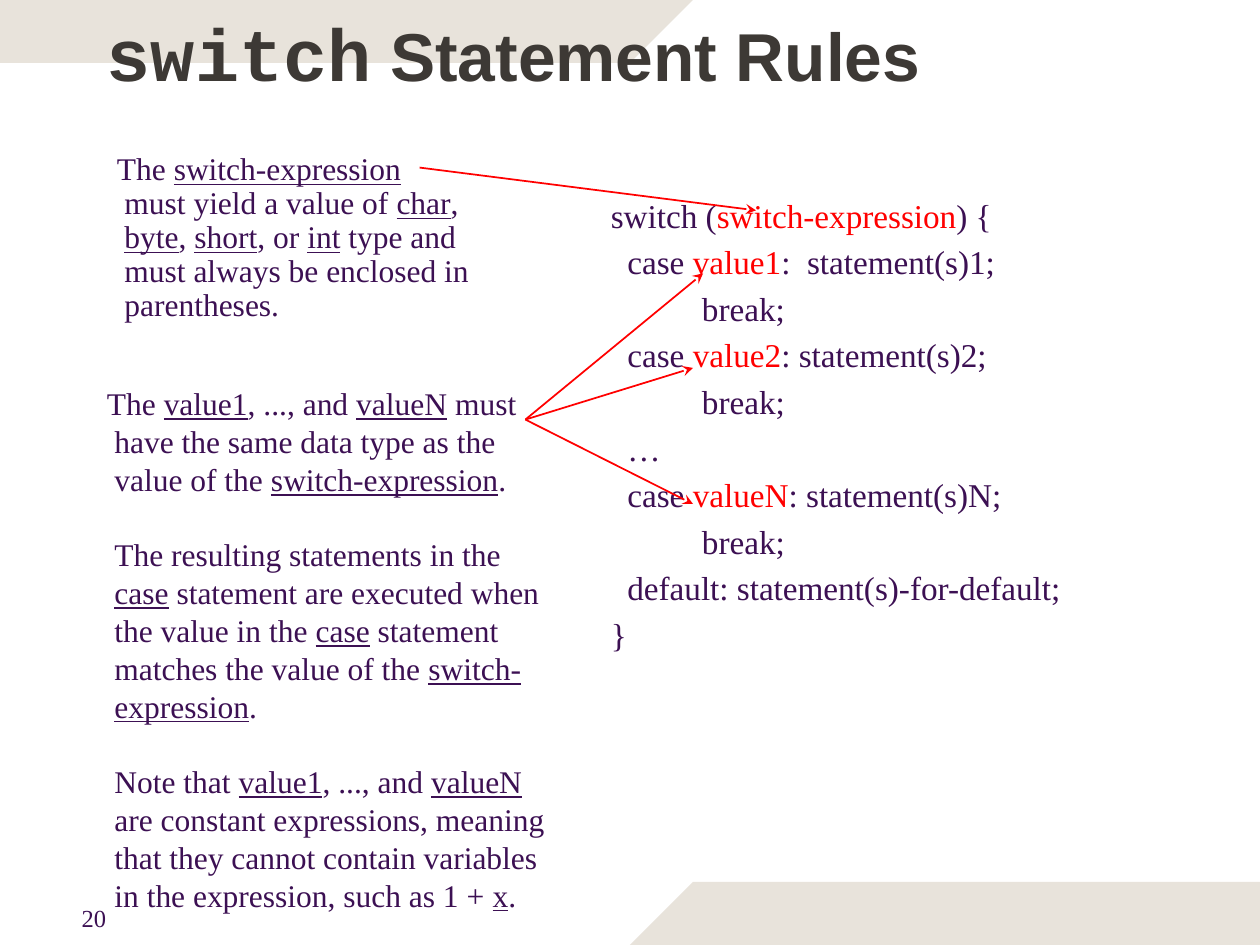
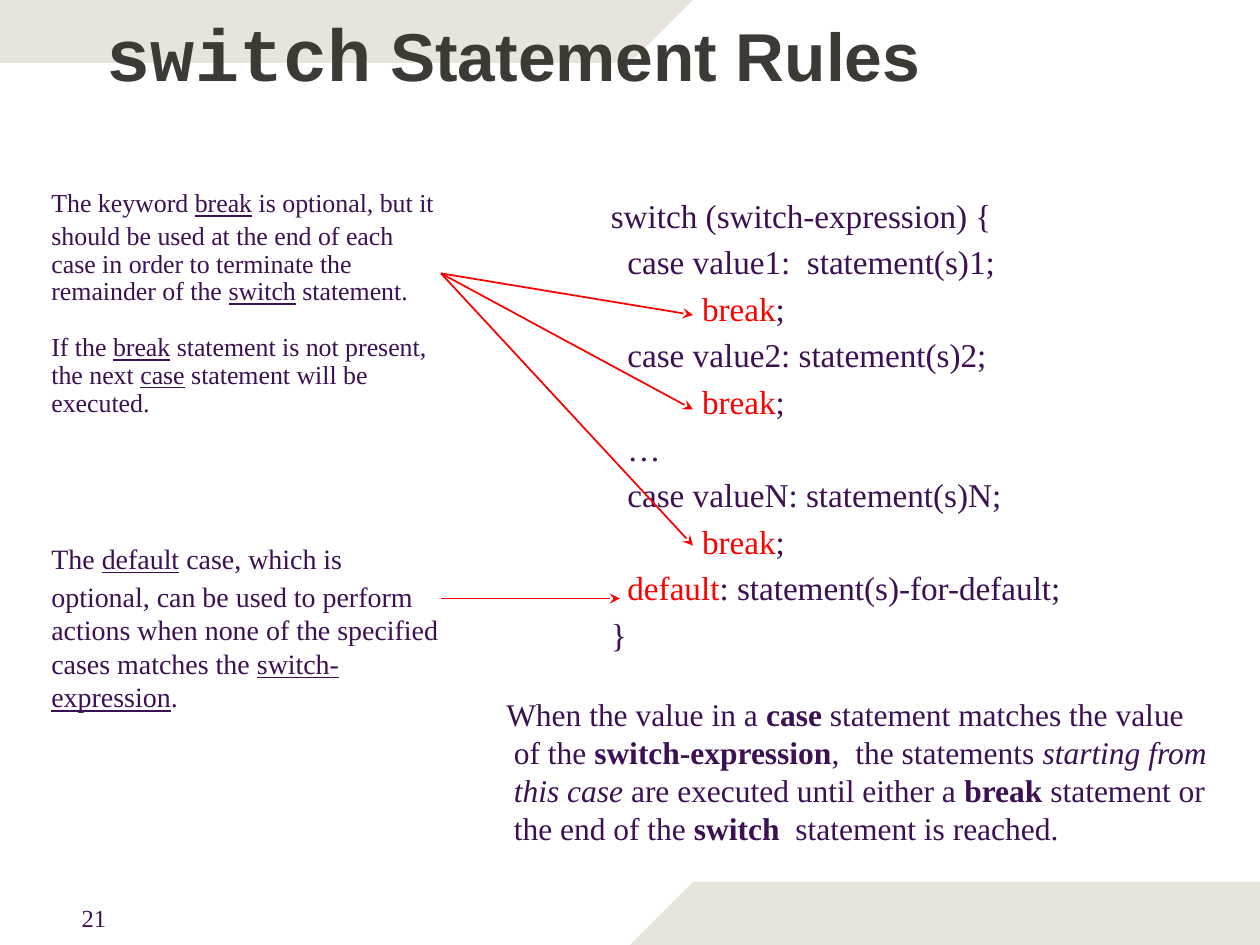
"""Build two slides on the rules of the switch statement."""
from pptx import Presentation, util as u
from pptx.dml.color import RGBColor
from pptx.enum import shapes, text
from pptx.oxml import parse_xml
from pptx.oxml.ns import nsdecls, qn

PURPLE = RGBColor(0x3C, 0x10, 0x53)
CHARCOAL = RGBColor(0x3D, 0x39, 0x35)
SAND = RGBColor(0xE8, 0xE3, 0xDB)
RED = RGBColor(0xFF, 0x00, 0x00)
SERIF, SANS, MONO = "Times New Roman", "Arial", "Courier New"

WIDTH, HEIGHT = 10, 7.5
BAND = [(0, 0), (5.5, 0), (5, 0.5), (0, 0.5)]
TITLE_AREA = (0.75, 0, 8.5, 0.83)
NUMBER_AREA = (0.55, 7.12, 0.49, 0.27)
CODE_AREA = (4.75, 1.5, 4, 4.17)
CODE_SIZE = 19
HANGING = 0.06

TITLE = [("switch", MONO, 42), (" Statement Rules", SANS, 38.7)]
CODE = [
    "switch (switch-expression) {",
    "  case value1:  statement(s)1;",
    "           break;",
    "  case value2: statement(s)2;",
    "           break;",
    "  …",
    "  case valueN: statement(s)N;",
    "           break;",
    "  default: statement(s)-for-default;",
    "}",
]

MARKS = {"_": "underline", "*": "bold", "~": "italic", "^": "red"}

SLIDES = [
    {
        "number": 20,
        "red": ["switch-expression", "value1", "value2", "valueN"],
        "notes": [
            {"area": (0.83, 1.17, 3, 1.42), "size": 18, "line_spacing": 0.9, "paras": [
                "The _switch-expression_ must yield a value of _char_, _byte_, _short_, "
                "or _int_ type and must always be enclosed in parentheses."]},
            {"area": (0.75, 3, 3.75, 3.75), "size": 18, "gap": 21.6, "paras": [
                "The _value1_, ..., and _valueN_ must have the same data type as the value "
                "of the _switch-expression_.",
                "The resulting statements in the _case_ statement are executed when the "
                "value in the _case_ statement matches the value of the _switch-expression_.",
                "Note that _value1_, ..., and _valueN_ are constant expressions, meaning "
                "that they cannot contain variables in the expression, such as 1 + _x_."]},
        ],
        "arrows": [
            ((3.33, 1.33), [(6, 1.67)]),
            ((4.17, 3.33), [(5.58, 2.17), (5.5, 2.92), (5.5, 4)]),
        ],
    },
    {
        "number": 21,
        "red": ["break", "default"],
        "notes": [
            {"area": (0.25, 1.33, 3.33, 2.25), "size": 14.8, "line_spacing": 0.9,
             "gap": 16, "tab_size": 25.9, "paras": [
                 "The keyword _break_ is optional, but it should be used at the end of each "
                 "case in order to terminate the remainder of the _switch_ statement.",
                 "If the _break_ statement is not present, the next _case_ statement will "
                 "be executed."]},
            {"area": (0.25, 4.08, 3.33, 1.67), "size": 16, "tab_size": 28, "paras": [
                "The _default_ case, which is optional, can be used to perform actions when "
                "none of the specified cases matches the _switch-expression_."]},
            {"area": (3.92, 5.47, 5.83, 1.44), "size": 18, "paras": [
                "When the value in a *case* statement matches the value of the "
                "*switch-expression*,  the statements ~starting from this case~ are executed "
                "until either a *break* statement or the end of the *switch*  statement is "
                "reached."]},
        ],
        "arrows": [
            ((3.5, 2.17), [(5.5, 2.5), (5.5, 3.25), (5.5, 4.33)]),
            ((3.5, 4.75), [(4.92, 4.75)]),
        ],
    },
]


def add_span(para, words, size, name=SERIF, color=PURPLE, **formats):
    span = para.add_run()
    span.text = words
    for key, value in {"size": u.Pt(size), "name": name, **formats}.items():
        setattr(span.font, key, value)
    span.font.color.rgb = color


def add_marked(para, marked, size):
    """Add text in which each mark switches one format on or off."""
    active, words = set(), ""
    for letter in marked + "\0":
        if letter not in MARKS and letter != "\0":
            words += letter
            continue
        if words:
            formats = {key: True for key in active - {"red"}}
            add_span(para, words, size, color=RED if "red" in active else PURPLE, **formats)
        words = ""
        active ^= {MARKS.get(letter)} - {None}


def add_box(page, area):
    box = page.shapes.add_textbox(*map(u.Inches, area))
    box.text_frame.word_wrap = True
    return box.text_frame


def add_paras(frame, paras):
    for index, marked in enumerate(paras):
        yield index, frame.add_paragraph() if index else frame.paragraphs[0], marked


def add_band(page, points):
    corners = [(u.Inches(x), u.Inches(y)) for x, y in points]
    builder = page.shapes.build_freeform(*corners[0])
    builder.add_line_segments(corners[1:], close=True)
    band = builder.convert_to_shape()
    band.shadow.inherit = False
    band.fill.solid()
    band.fill.fore_color.rgb = SAND
    band.line.fill.background()


def add_frame(page, number):
    add_band(page, BAND)
    add_band(page, [(max(WIDTH - x, 5) if x else WIDTH, HEIGHT - y)
                    for x, y in [(0, 0), (5, 0), (4.5, 0.5), (0, 0.5)]])
    add_span(add_box(page, NUMBER_AREA).paragraphs[0], str(number), 14)
    title = add_box(page, TITLE_AREA)
    title.vertical_anchor = text.MSO_ANCHOR.MIDDLE
    for words, name, size in TITLE:
        add_span(title.paragraphs[0], words, size, name, CHARCOAL, bold=True)


def add_code(page, red):
    for index, para, line in add_paras(add_box(page, CODE_AREA), CODE):
        for word in red:
            line = line.replace(word, f"^{word}^", 1)
        if index:
            para.space_before = u.Pt(CODE_SIZE * 0.2)
        add_marked(para, line, CODE_SIZE)


def add_note(page, note):
    for index, para, marked in add_paras(add_box(page, note["area"]), note["paras"]):
        indent = para._p.get_or_add_pPr()
        indent.set("marL", str(u.Inches(HANGING)))
        indent.set("indent", str(0 if index else -u.Inches(HANGING)))
        para.line_spacing = note.get("line_spacing")
        if index:
            para.space_before = u.Pt(note["gap"])
        elif "tab_size" in note:
            add_span(para, "\t", note["tab_size"], MONO)
        add_marked(para, marked, note["size"])


def add_arrow(page, start, end):
    ends = [u.Inches(value) for value in start + end]
    arrow = page.shapes.add_connector(shapes.MSO_CONNECTOR.STRAIGHT, *ends)
    arrow.line.color.rgb = RED
    arrow.line.width = u.Pt(1)
    properties = arrow._element.spPr
    properties.find(qn("a:ln")).append(
        parse_xml(f'<a:tailEnd {nsdecls("a")} type="stealth"/>'))
    properties.append(parse_xml(f'<a:effectLst {nsdecls("a")}/>'))


def main():
    deck = Presentation()
    deck.slide_width, deck.slide_height = u.Inches(WIDTH), u.Inches(HEIGHT)
    for content in SLIDES:
        page = deck.slides.add_slide(deck.slide_layouts[6])
        add_frame(page, content["number"])
        add_code(page, content["red"])
        for note in content["notes"]:
            add_note(page, note)
        for start, targets in content["arrows"]:
            for target in targets:
                add_arrow(page, start, target)
    deck.save("out.pptx")


if __name__ == "__main__":
    main()
